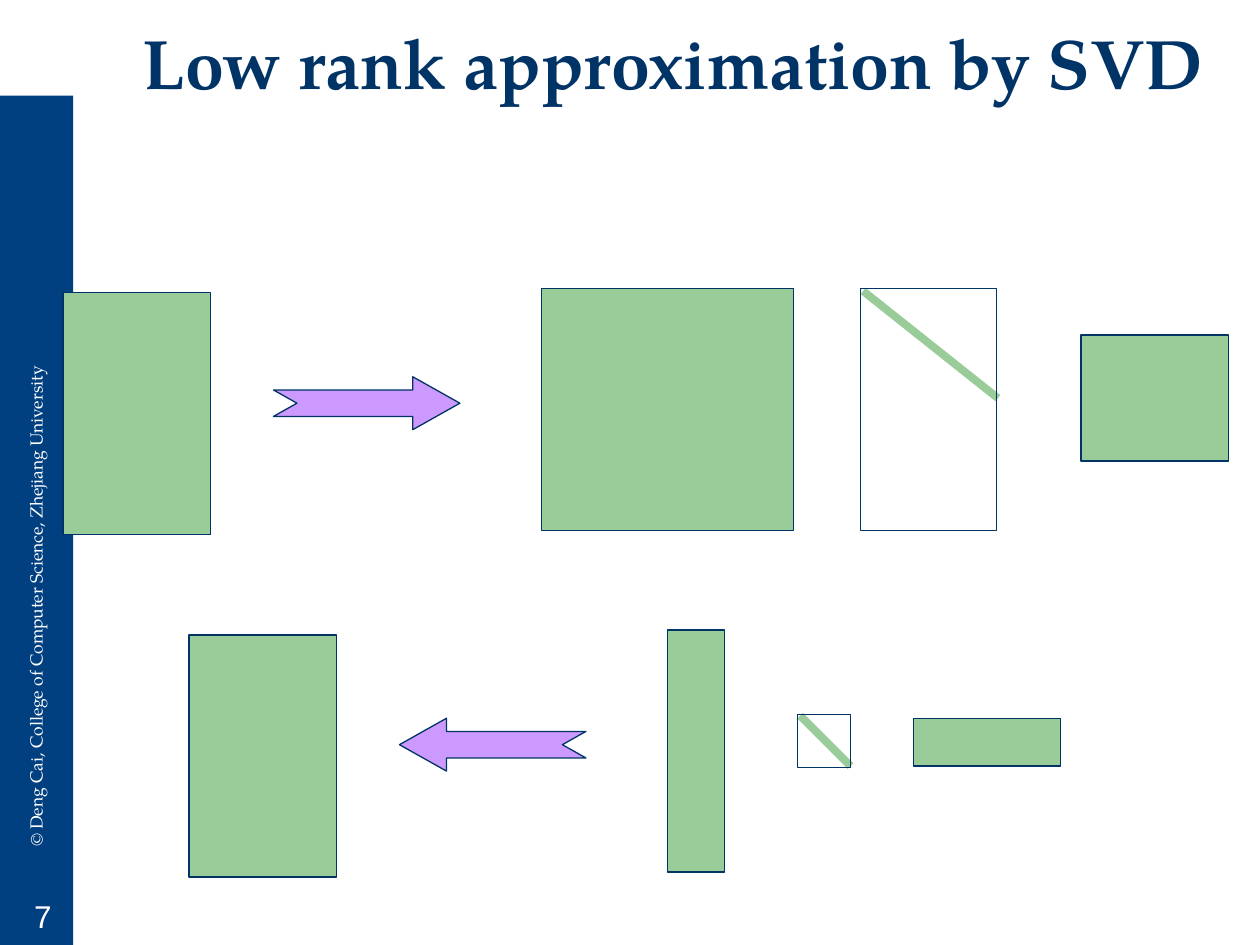
from dataclasses import dataclass

from lxml import etree
from pptx import Presentation
from pptx.dml.color import RGBColor
from pptx.enum import shapes, text
from pptx.oxml.ns import qn
from pptx.util import Inches, Pt


@dataclass(frozen=True)
class Theme:
    sidebar: str = "003F80"
    ink: str = "003366"
    matrix: str = "99CC99"
    arrow: str = "CC99FF"
    light: str = "FFFFFF"
    serif: str = "TeX Gyre Pagella"
    sans: str = "Arial"
    title_size: float = 40
    number_size: float = 18
    credit_size: float = 10
    outline: float = 0.75
    diagonal: float = 4.5


@dataclass(frozen=True)
class Box:
    left: float
    top: float
    width: float
    height: float

    def emu(self) -> tuple:
        return tuple(map(Inches, (self.left, self.top, self.width, self.height)))


@dataclass(frozen=True)
class Label:
    words: str
    box: Box
    font: dict
    color: str
    align: text.PP_ALIGN = text.PP_ALIGN.LEFT
    anchor: text.MSO_ANCHOR = text.MSO_ANCHOR.TOP
    rotation: float = 0
    line_spacing: float = 1.0


@dataclass(frozen=True)
class Factorization:
    """One row: a matrix, an arrow and the U, Sigma and V factors."""
    matrix: Box
    arrow: Box
    arrow_rotation: float
    u: Box
    sigma: Box
    diagonal: tuple
    v: Box


THEME = Theme()
MATRIX_W, MATRIX_H = 1.17, 1.92
ARROW_W, ARROW_H = 1.48, 0.42

LABELS = [
    Label("© Deng Cai, College of Computer Science, Zhejiang University",
          Box(-2.67, 3.73, 5.91, 0.27),
          {"name": THEME.serif, "size": Pt(THEME.credit_size)}, THEME.light,
          rotation=270),
    Label("Low rank approximation by SVD", Box(0.87, 0.21, 8.94, 0.67),
          {"name": THEME.serif, "size": Pt(THEME.title_size), "bold": True},
          THEME.ink, text.PP_ALIGN.CENTER, text.MSO_ANCHOR.BOTTOM,
          line_spacing=0.9),
    Label("7", Box(0.02, 7.07, 0.64, 0.4),
          {"name": THEME.sans, "size": Pt(THEME.number_size)}, THEME.light,
          text.PP_ALIGN.CENTER, text.MSO_ANCHOR.BOTTOM),
]

FACTORIZATIONS = [
    Factorization(
        matrix=Box(0.5, 2.32, MATRIX_W, MATRIX_H),
        arrow=Box(2.17, 2.99, ARROW_W, ARROW_H), arrow_rotation=0,
        u=Box(4.3, 2.29, 2, MATRIX_H),
        sigma=Box(6.83, 2.29, 1.08, MATRIX_H),
        diagonal=(6.85, 2.31, 7.92, 3.16),
        v=Box(8.58, 2.66, MATRIX_W, 1)),
    Factorization(
        matrix=Box(1.5, 5.04, MATRIX_W, MATRIX_H),
        arrow=Box(3.17, 5.7, ARROW_W, ARROW_H), arrow_rotation=180,
        u=Box(5.3, 5, 0.45, MATRIX_H),
        sigma=Box(6.33, 5.67, 0.42, 0.42),
        diagonal=(6.35, 5.68, 6.75, 6.08),
        v=Box(7.25, 5.7, MATRIX_W, 0.38)),
]


def rgb(value: str) -> RGBColor:
    return RGBColor.from_string(value)


def add_preset(parent, preset, box: Box, fill: str | None = None,
               line: str | None = THEME.ink):
    shape = parent.add_shape(preset, *box.emu())
    shape.shadow.inherit = False
    if fill:
        shape.fill.solid()
        shape.fill.fore_color.rgb = rgb(fill)
    else:
        shape.fill.background()
    if line:
        shape.line.color.rgb = rgb(line)
        shape.line.width = Pt(THEME.outline)
    else:
        shape.line.fill.background()
    return shape


def add_diagonal(parent, ends: tuple) -> None:
    diagonal = parent.add_connector(shapes.MSO_CONNECTOR.STRAIGHT, *map(Inches, ends))
    diagonal.line.color.rgb = rgb(THEME.matrix)
    diagonal.line.width = Pt(THEME.diagonal)
    etree.SubElement(diagonal._element.spPr, qn("a:effectLst"))


def add_label(parent, label: Label) -> None:
    holder = parent.add_textbox(*label.box.emu())
    holder.rotation = label.rotation
    frame = holder.text_frame
    frame.word_wrap = True
    frame.vertical_anchor = label.anchor
    paragraph = frame.paragraphs[0]
    paragraph.alignment = label.align
    paragraph.line_spacing = label.line_spacing
    run = paragraph.add_run()
    run.text = label.words
    for attribute, value in label.font.items():
        setattr(run.font, attribute, value)
    run.font.color.rgb = rgb(label.color)


def add_factorization(parent, row: Factorization) -> None:
    group = parent.add_group_shape().shapes
    for box in (row.u, row.matrix, row.v):
        add_preset(group, shapes.MSO_SHAPE.RECTANGLE, box, THEME.matrix)
    arrow = add_preset(group, shapes.MSO_SHAPE.NOTCHED_RIGHT_ARROW, row.arrow, THEME.arrow)
    arrow.adjustments[0] = 0.5
    arrow.adjustments[1] = 0.89
    arrow.rotation = row.arrow_rotation
    add_diagonal(group, row.diagonal)
    add_preset(group, shapes.MSO_SHAPE.RECTANGLE, row.sigma)


def main() -> None:
    deck = Presentation()
    deck.slide_width, deck.slide_height = Inches(10), Inches(7.5)
    canvas = deck.slides.add_slide(deck.slide_layouts[6]).shapes
    add_preset(canvas, shapes.MSO_SHAPE.RECTANGLE, Box(0, 0.76, 0.58, 6.74),
               THEME.sidebar, line=None)
    for label in LABELS:
        add_label(canvas, label)
    for row in FACTORIZATIONS:
        add_factorization(canvas, row)
    deck.save("out.pptx")


if __name__ == "__main__":
    main()
